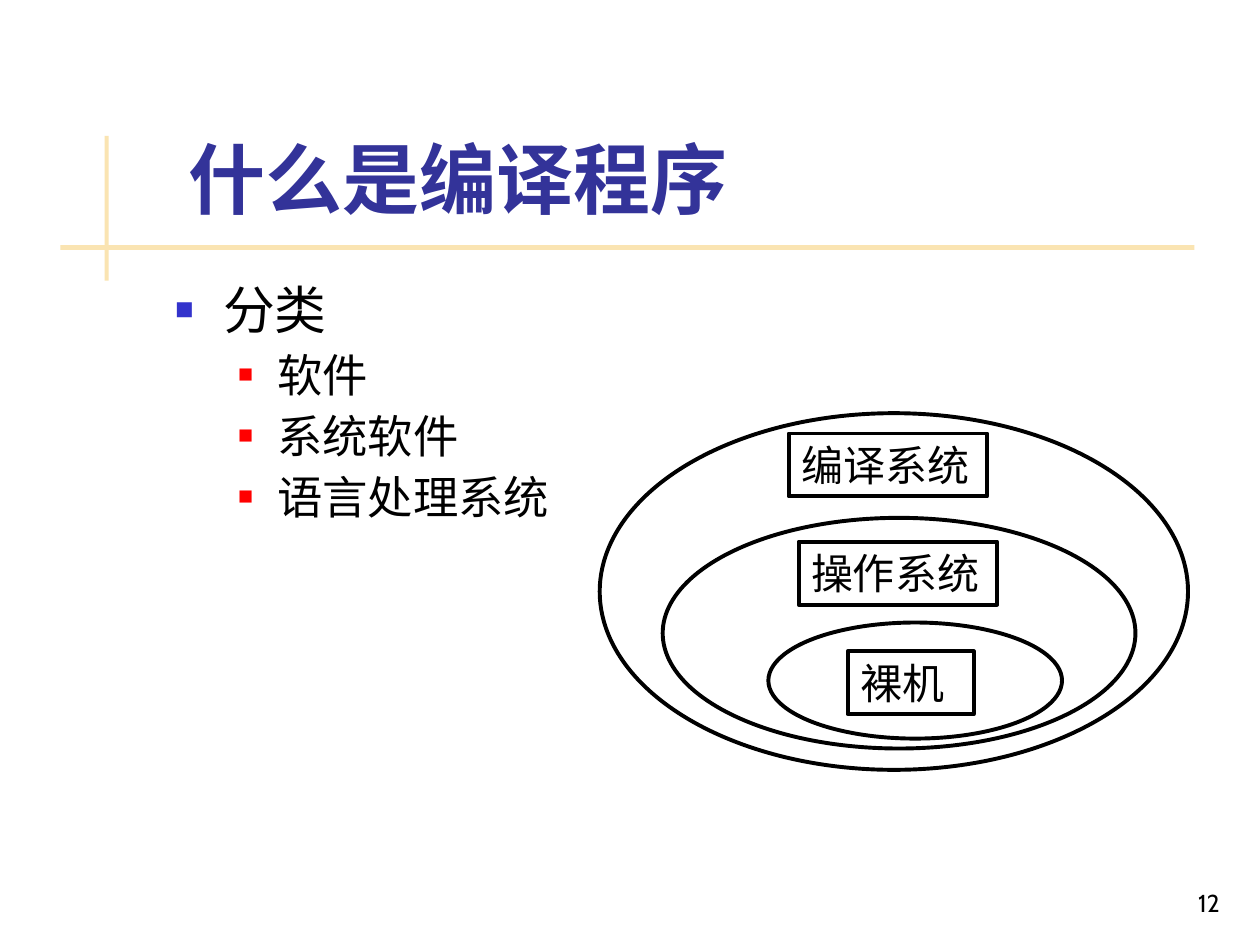
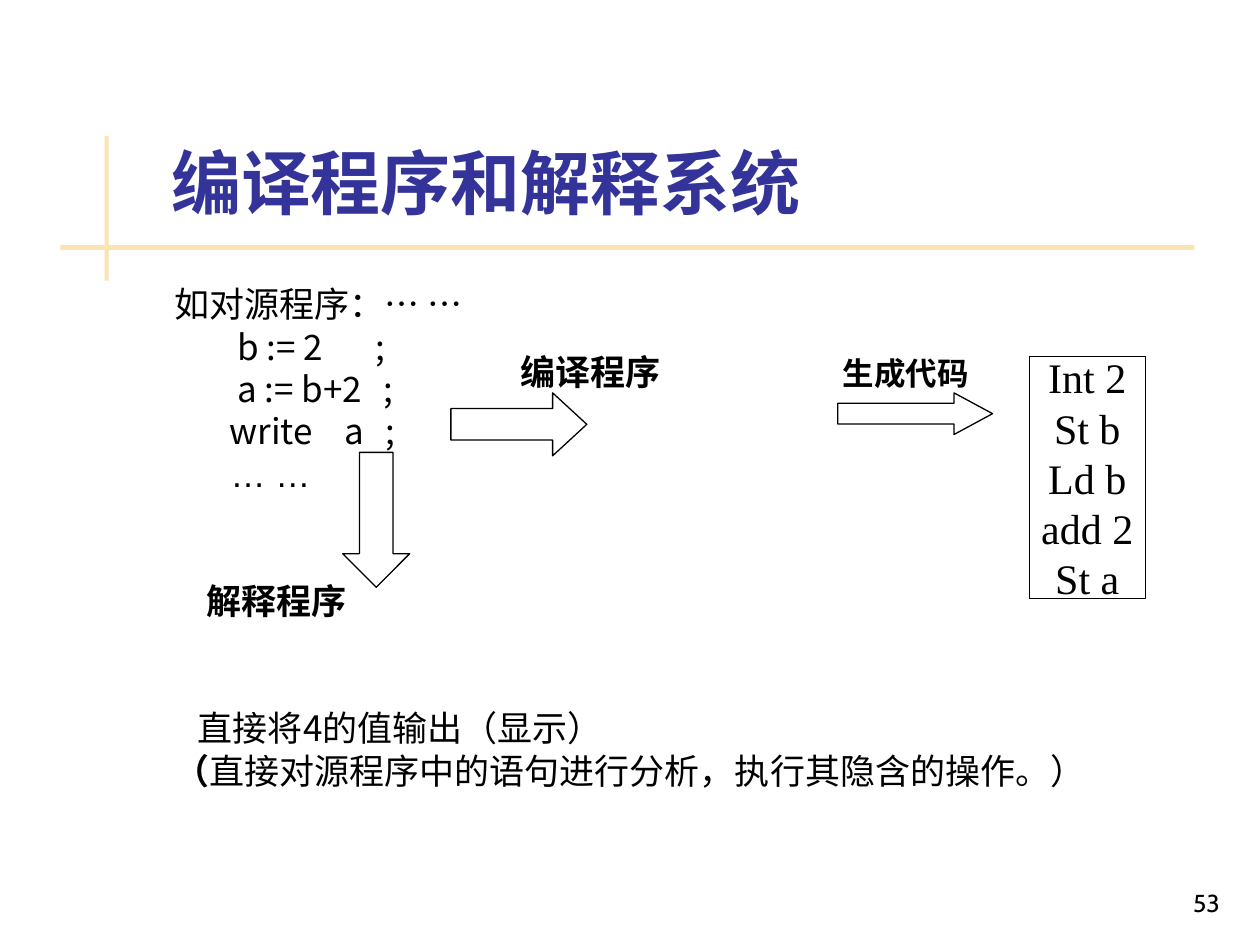
from dataclasses import dataclass

from lxml.etree import SubElement
from pptx import Presentation
from pptx.dml.color import RGBColor
from pptx.enum.shapes import MSO_SHAPE
from pptx.enum.text import MSO_ANCHOR, MSO_AUTO_SIZE, PP_ALIGN
from pptx.oxml.ns import qn
from pptx.shapes.autoshape import Shape
from pptx.slide import Slide
from pptx.text.text import Font, TextFrame
from pptx.util import Cm, Pt

# Shared look
CJK = "Noto Sans CJK JP"
BLACK, WHITE = "000000", "FFFFFF"
TITLE_BLUE, RULE_SAND = "333399", "FAE4B2"
BULLET_BLUE, BULLET_RED = "3333CC", "FF0000"
TITLE_ONLY = 5


@dataclass(frozen=True)
class Box:
    """Left, top, width and height in centimetres."""
    left: float
    top: float
    width: float
    height: float

    def lengths(self) -> tuple[Cm, Cm, Cm, Cm]:
        return Cm(self.left), Cm(self.top), Cm(self.width), Cm(self.height)


@dataclass(frozen=True)
class Style:
    size: float
    font: str = CJK
    color: str = BLACK
    bold: bool = False
    align: PP_ALIGN = PP_ALIGN.LEFT
    pitch: float | None = None


@dataclass(frozen=True)
class Bullet:
    color: str
    percent: int
    indent: float
    hanging: float


@dataclass(frozen=True)
class Line:
    text: str
    bold_start: str = ""
    font: str = CJK
    bold: bool = False
    indent: float = 0
    skipped_lines: int = 0


@dataclass(frozen=True)
class Token:
    """A later part of a source line, set in its own column."""
    text: str
    row: int
    indent: float


@dataclass(frozen=True)
class Arrow:
    kind: MSO_SHAPE
    box: Box
    head: float


RULES = [Box(2.11, 2.74, 0.08, 2.92), Box(1.22, 4.94, 22.86, 0.1)]
TITLE_BOX = Box(3.2, 0.58, 21.64, 4.06)
PAGE_BOX = Box(19.56, 17.35, 5.28, 1.27)
PAGE_STYLE = Style(14, "Cabin", align=PP_ALIGN.RIGHT)

# Classification slide
CATEGORY_BOX = Box(3.53, 5.63, 8.6, 5.5)
CATEGORY_BULLET = Bullet(BULLET_BLUE, 60, 0.97, 0.97)
MEMBER_BULLET = Bullet(BULLET_RED, 55, 2.06, 0.79)
CATEGORY_STYLE = Style(29.6, pitch=34.9)
MEMBER_STYLE = Style(25.9, pitch=34.9)
MEMBERS = ["软件", "系统软件", "语言处理系统"]
LAYERS = [
    Box(12.09, 8.33, 11.86, 7.19),
    Box(13.36, 10.44, 9.53, 4.65),
    Box(15.49, 12.55, 5.92, 2.34),
]
LAYER_LABELS = [
    ("编译系统", Box(15.9, 8.74, 4, 1.27)),
    ("操作系统", Box(16.1, 10.92, 4, 1.27)),
    ("裸机", Box(17.09, 13.13, 2.54, 1.27)),
]

# Compiler and interpreter slide
PROGRAM_BOX = Box(3.51, 5.69, 21.3, 10.3)
PROGRAM_PITCH = 24.25
PROGRAM_STYLE = Style(20, pitch=PROGRAM_PITCH)
PROGRAM = [
    Line("如对源程序：… …"),
    Line("b := 2", indent=1.27),
    Line("a := b+2", indent=1.27),
    Line("write", indent=1.12),
    Line("… …", font="Arial", indent=1.14),
    Line("解释程序", bold=True, indent=0.66, skipped_lines=2),
    Line("直接将4的值输出（显示）", indent=0.48, skipped_lines=2),
    Line("直接对源程序中的语句进行分析，执行其隐含的操作。）", bold_start="（"),
]
TOKENS = [Token(";", 1, 4.06), Token(";", 2, 4.22), Token("a", 3, 3.43), Token(";", 3, 4.27)]
COMPILER_BOX = Box(10.5, 7.06, 3.2, 0.86)
COMPILE_ARROW = Arrow(MSO_SHAPE.RIGHT_ARROW, Box(9.09, 7.92, 2.74, 1.27), 0.542)
GENERATE_ARROW = Arrow(MSO_SHAPE.RIGHT_ARROW, Box(16.89, 7.92, 3.12, 0.84), 0.926)
INTERPRET_ARROW = Arrow(MSO_SHAPE.DOWN_ARROW, Box(6.91, 9.12, 1.35, 2.72), 0.502)
TARGET_CODE = ["Int 2", "St b", "Ld b", "add 2", "St a"]
TARGET_BOX = Box(20.75, 7.19, 2.34, 4.88)
GENERATE_BOX = Box(17.09, 7.2, 2.34, 0.64)


def rgb(color: str) -> RGBColor:
    return RGBColor.from_string(color)


def set_font(font: Font, style: Style) -> None:
    font.size, font.bold, font.name = Pt(style.size), style.bold, style.font
    font.color.rgb = rgb(style.color)
    SubElement(font._rPr, qn("a:ea"), typeface=style.font)


def format_paragraph(paragraph, style: Style) -> None:
    paragraph.alignment = style.align
    if style.pitch:
        paragraph.line_spacing = Pt(style.pitch)
    set_font(paragraph.font, style)


def write_lines(frame: TextFrame, lines: list[str], style: Style) -> None:
    frame.text = "\n".join(lines)
    for paragraph in frame.paragraphs:
        format_paragraph(paragraph, style)


def add_shape(slide: Slide, kind: MSO_SHAPE, box: Box, fill: str = WHITE,
              line: str | None = BLACK, width: float = 0.75) -> Shape:
    shape = slide.shapes.add_shape(kind, *box.lengths())
    shape.shadow.inherit = False
    shape.fill.solid()
    shape.fill.fore_color.rgb = rgb(fill)
    if line:
        shape.line.color.rgb = rgb(line)
        shape.line.width = Pt(width)
    else:
        shape.line.fill.background()
    return shape


def add_label(slide: Slide, box: Box, lines: list[str], style: Style,
              line: str = BLACK, width: float = 0.75) -> None:
    frame = add_shape(slide, MSO_SHAPE.RECTANGLE, box, WHITE, line, width).text_frame
    frame.word_wrap = False
    frame.vertical_anchor = MSO_ANCHOR.MIDDLE
    write_lines(frame, lines, style)


def add_text_frame(slide: Slide, box: Box, inset: float = 0) -> TextFrame:
    frame = slide.shapes.add_textbox(*box.lengths()).text_frame
    frame.word_wrap = True
    frame.margin_left = frame.margin_right = Cm(inset)
    frame.margin_top = frame.margin_bottom = Cm(inset / 2)
    return frame


def add_arrow(slide: Slide, arrow: Arrow) -> None:
    shape = add_shape(slide, arrow.kind, arrow.box)
    shape.adjustments[0], shape.adjustments[1] = 0.5, arrow.head


def set_indent(paragraph, indent: float, hanging: float = 0) -> None:
    props = paragraph._p.get_or_add_pPr()
    props.set("marL", str(Cm(indent)))
    props.set("indent", str(-Cm(hanging)))


def add_bullet(paragraph, bullet: Bullet) -> None:
    set_indent(paragraph, bullet.indent, bullet.hanging)
    props = paragraph._p.get_or_add_pPr()
    SubElement(SubElement(props, qn("a:buClr")), qn("a:srgbClr"), val=bullet.color)
    SubElement(props, qn("a:buSzPct"), val=str(bullet.percent * 1000))
    SubElement(props, qn("a:buFont"), typeface="Arial")
    SubElement(props, qn("a:buChar"), char="■")


def start_slide(deck, title: str, size: float, page: str, inset: float = 0.25) -> Slide:
    slide = deck.slides.add_slide(deck.slide_layouts[TITLE_ONLY])
    for rule in RULES:
        add_shape(slide, MSO_SHAPE.RECTANGLE, rule, RULE_SAND, None)

    heading = slide.shapes.title
    heading.left, heading.top, heading.width, heading.height = TITLE_BOX.lengths()
    frame = heading.text_frame
    frame.auto_size = MSO_AUTO_SIZE.NONE
    frame.vertical_anchor = MSO_ANCHOR.BOTTOM
    frame.margin_left = Cm(inset)
    write_lines(frame, [title], Style(size, color=TITLE_BLUE, bold=True))

    footer = add_text_frame(slide, PAGE_BOX, 0.25)
    footer.vertical_anchor = MSO_ANCHOR.BOTTOM
    write_lines(footer, [page], PAGE_STYLE)
    return slide


def build_classification(deck) -> None:
    slide = start_slide(deck, "什么是编译程序", 44, "12", inset=0.6)

    # Bulleted classification
    frame = add_text_frame(slide, CATEGORY_BOX)
    frame.text = "\n".join(["分类", *MEMBERS])
    for level, paragraph in enumerate(frame.paragraphs):
        add_bullet(paragraph, MEMBER_BULLET if level else CATEGORY_BULLET)
        format_paragraph(paragraph, MEMBER_STYLE if level else CATEGORY_STYLE)

    # Nested system layers
    for layer in LAYERS:
        add_shape(slide, MSO_SHAPE.OVAL, layer, width=2.25)
    for name, box in LAYER_LABELS:
        add_label(slide, box, [name], Style(24), width=2.25)


def build_comparison(deck) -> None:
    slide = start_slide(deck, "编译程序和解释系统", 40, "53")

    # Source program and its interpretation
    frame = add_text_frame(slide, PROGRAM_BOX)
    for number, line in enumerate(PROGRAM):
        paragraph = frame.add_paragraph() if number else frame.paragraphs[0]
        set_indent(paragraph, line.indent)
        paragraph.space_before = Pt(line.skipped_lines * PROGRAM_PITCH)
        format_paragraph(paragraph, Style(20, line.font, bold=line.bold, pitch=PROGRAM_PITCH))
        if line.bold_start:
            opening = paragraph.add_run()
            opening.text = line.bold_start
            opening.font.bold = True
        paragraph.add_run().text = line.text

    # Aligned ends of the source lines
    row_height = Pt(PROGRAM_PITCH).cm
    for token in TOKENS:
        box = Box(PROGRAM_BOX.left + token.indent,
                  PROGRAM_BOX.top + token.row * row_height, 0.6, row_height)
        write_lines(add_text_frame(slide, box), [token.text], PROGRAM_STYLE)

    # Flow to the generated code
    add_arrow(slide, COMPILE_ARROW)
    write_lines(add_text_frame(slide, COMPILER_BOX), ["编译程序"],
                Style(20, bold=True, pitch=PROGRAM_PITCH))
    add_label(slide, TARGET_BOX, TARGET_CODE,
              Style(24, "Times New Roman", align=PP_ALIGN.CENTER, pitch=28.7))
    add_arrow(slide, GENERATE_ARROW)
    add_label(slide, GENERATE_BOX, ["生成代码"],
              Style(18, bold=True, align=PP_ALIGN.CENTER), line=WHITE)
    add_arrow(slide, INTERPRET_ARROW)


def main() -> None:
    deck = Presentation()
    deck.slide_width, deck.slide_height = Cm(25.4), Cm(19.05)
    build_classification(deck)
    build_comparison(deck)
    deck.save("out.pptx")


if __name__ == "__main__":
    main()
